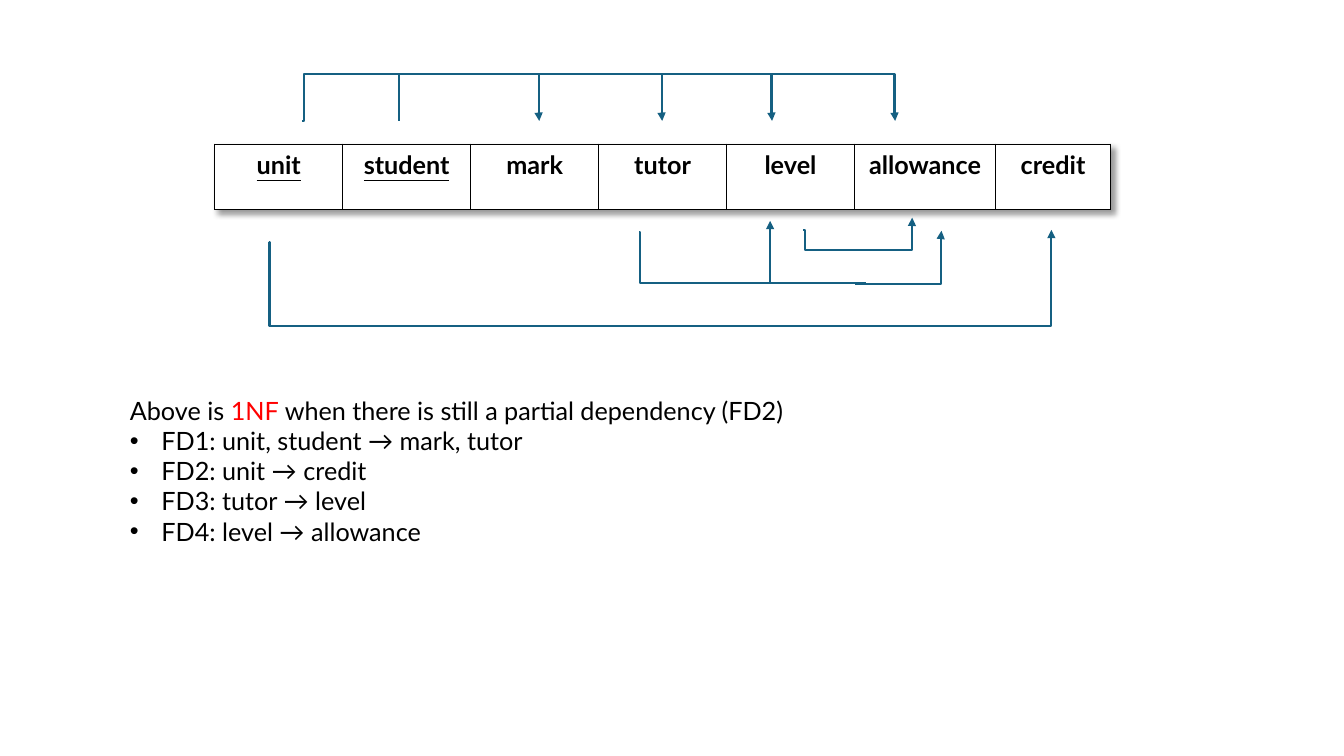
import dataclasses

import pptx
import pptx.dml.color
import pptx.enum.shapes
import pptx.enum.text
import pptx.oxml
import pptx.oxml.ns
import pptx.util

Pt = pptx.util.Pt
RGB = pptx.dml.color.RGBColor
NS = pptx.oxml.ns.nsdecls("a")


@dataclasses.dataclass(frozen=True)
class Theme:
    font: str = "Lato"
    size: float = 18
    ink: str = "000000"
    accent: str = "FF0000"
    path_color: str = "156082"
    path_width: float = 1.5
    paper: str = "FFFFFF"
    border_width: float = 1


THEME = Theme()

# Name, column width, part of the key
ATTRIBUTES = [
    ("unit", 91.4, True), ("student", 91.4, True), ("mark", 91.4, False),
    ("tutor", 91.4, False), ("level", 91.4, False),
    ("allowance", 100.8, False), ("credit", 82.1, False),
]

# Start, end, bend as a share of the width (None is straight), arrowhead;
# points are measured from the top left of the attribute row
FD1_RAIL, FD1_TIP, FD1_REACH = -50.4, -16.6, 100
FD1 = [
    ((62.6, FD1_TIP), (161.2, FD1_RAIL), 0.009, False),
    ((131.7, FD1_TIP), (131.7, FD1_RAIL), None, False),
] + [
    ((target - FD1_REACH, FD1_RAIL), (target, FD1_TIP), 0.996, True)
    for target in (231.8, 319.6, 398.1, 486)
]
FD2 = [
    ((303.1, 129.6), (597.6, 61.2), 1, True),
    ((38.8, 69.8), (331.2, 129.6), 0.001, False),
]
FD3 = [
    ((457.2, 100), (519.1, 61.9), 0.992, True),
    ((303.1, 62.6), (465.1, 99.3), 0.003, False),
    ((396.7, 99.3), (396.7, 54.7), None, True),
]
FD4 = [
    ((450.7, 75.6), (498.2, 52.5), 0.997, True),
    ((420.4, 61.2), (474.4, 75.6), 0.026, False),
]

SUMMARY = [
    ("Above is ", THEME.ink),
    ("1NF", THEME.accent),
    (" when there is still a partial dependency (FD2)", THEME.ink),
]
DEPENDENCIES = [
    "FD1: unit, student → mark, tutor",
    "FD2: unit → credit",
    "FD3: tutor → level",
    "FD4: level → allowance",
]


def xml(text):
    return pptx.oxml.parse_xml(text)


def add_words(paragraph, words, color=THEME.ink, **extra):
    run = paragraph.add_run()
    run.text = words
    formats = {"name": THEME.font, "size": Pt(THEME.size), **extra}
    for key, value in formats.items():
        setattr(run.font, key, value)
    run.font.color.rgb = RGB.from_string(color)


def outline_cell(cell):
    properties = cell._tc.get_or_add_tcPr()
    for side in "LRTB":
        properties.append(xml(
            f'<a:ln{side} {NS} w="{Pt(THEME.border_width)}"><a:solidFill>'
            f'<a:srgbClr val="{THEME.ink}"/></a:solidFill></a:ln{side}>'))


def attribute_row(slide, left, top, width, height):
    frame = slide.shapes.add_table(
        1, len(ATTRIBUTES), Pt(left), Pt(top), Pt(width), Pt(height))
    table = frame.table
    table.first_row = table.horz_banding = False
    table._tbl.tblPr.insert(0, xml(
        f'<a:effectLst {NS}><a:outerShdw blurRad="{Pt(4)}" dist="{Pt(3)}" '
        'dir="2700000" algn="tl" rotWithShape="0"><a:prstClr val="black">'
        '<a:alpha val="40000"/></a:prstClr></a:outerShdw></a:effectLst>'))
    for column, (name, column_width, is_key) in enumerate(ATTRIBUTES):
        table.columns[column].width = Pt(column_width)
        cell = table.cell(0, column)
        outline_cell(cell)
        cell.fill.solid()
        cell.fill.fore_color.rgb = RGB.from_string(THEME.paper)
        label = cell.text_frame.paragraphs[0]
        label.alignment = pptx.enum.text.PP_ALIGN.CENTER
        add_words(label, name, bold=True, underline=is_key)


def dependency_paths(slide, left, top, paths):
    kinds = pptx.enum.shapes.MSO_CONNECTOR
    for (x1, y1), (x2, y2), bend, has_head in paths:
        path = slide.shapes.add_connector(
            kinds.STRAIGHT if bend is None else kinds.ELBOW,
            Pt(left + x1), Pt(top + y1), Pt(left + x2), Pt(top + y2))
        path.line.width = Pt(THEME.path_width)
        path.line.color.rgb = RGB.from_string(THEME.path_color)
        properties = path.element.spPr
        if bend is not None:
            guides = properties.find(".//" + pptx.oxml.ns.qn("a:avLst"))
            guides.append(xml(
                f'<a:gd {NS} name="adj1" fmla="val {round(bend * 100000)}"/>'))
        if has_head:
            properties.find(pptx.oxml.ns.qn("a:ln")).append(
                xml(f'<a:tailEnd {NS} type="triangle"/>'))
        properties.append(xml(f"<a:effectLst {NS}/>"))


def normal_form_notes(slide, left, top, width, height):
    notes = slide.shapes.add_textbox(
        Pt(left), Pt(top), Pt(width), Pt(height)).text_frame
    notes.word_wrap = True
    notes.auto_size = pptx.enum.text.MSO_AUTO_SIZE.SHAPE_TO_FIT_TEXT
    for words, color in SUMMARY:
        add_words(notes.paragraphs[0], words, color)
    for dependency in DEPENDENCIES:
        item = notes.add_paragraph()
        add_words(item, dependency)
        properties = item._p.get_or_add_pPr()
        indent = Pt(22.5)
        properties.set("marL", str(indent))
        properties.set("indent", str(-indent))
        properties.append(xml(f'<a:buFont {NS} typeface="Arial"/>'))
        properties.append(xml(f'<a:buChar {NS} char="•"/>'))


def main():
    deck = pptx.Presentation()
    deck.slide_width, deck.slide_height = Pt(960), Pt(540)
    slide = deck.slides.add_slide(deck.slide_layouts[6])
    left, top = 153.4, 103
    attribute_row(slide, left, top, 639.9, 46.8)
    dependency_paths(slide, left, top, FD1 + FD2 + FD3 + FD4)
    normal_form_notes(slide, 85.7, 278.6, 707, 116.6)
    deck.save("out.pptx")


if __name__ == "__main__":
    main()
